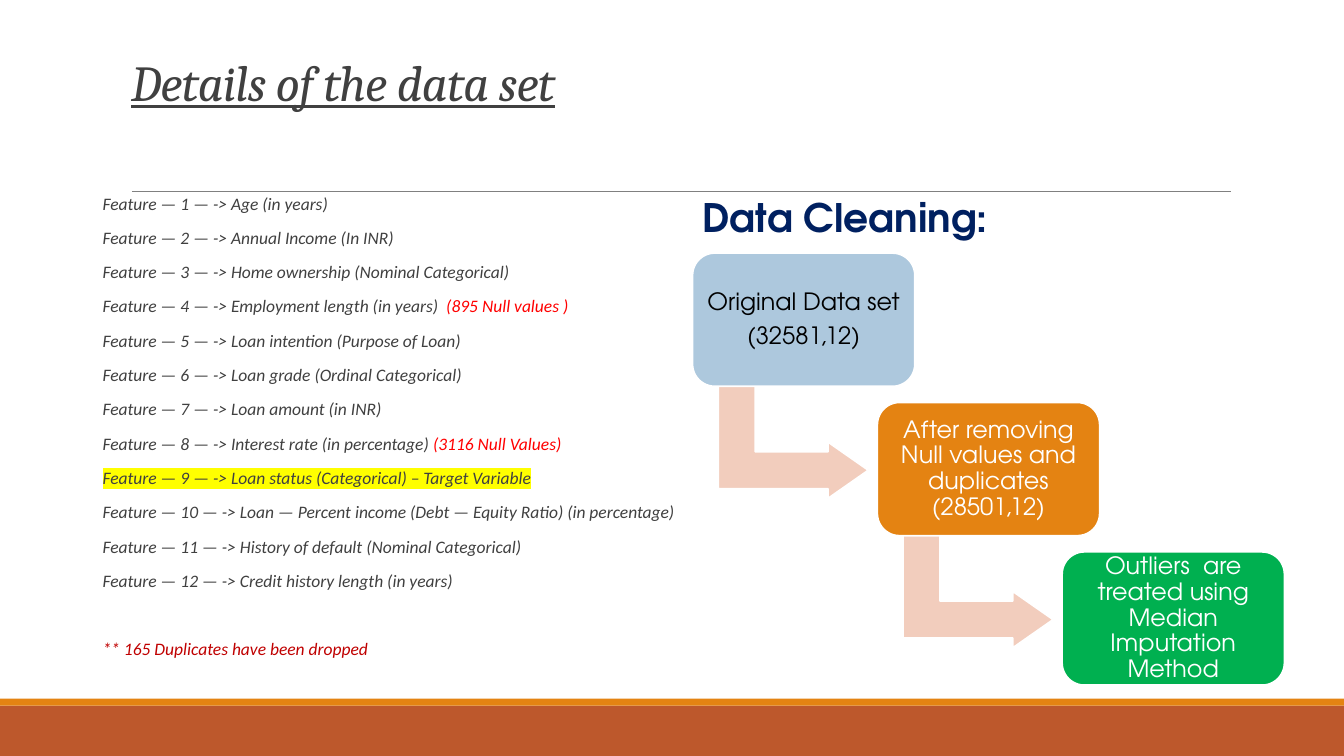
import pptx
import pptx.util
import pptx.dml.color
import pptx.enum.shapes
import pptx.enum.text
import pptx.oxml
import pptx.oxml.ns

Pt = pptx.util.Pt
SHAPE = pptx.enum.shapes.MSO_SHAPE
ALIGN = pptx.enum.text.PP_ALIGN
ANCHOR = pptx.enum.text.MSO_ANCHOR
AUTO = pptx.enum.text.MSO_AUTO_SIZE
DISPLAY_FONT = "TeX Gyre Adventor"
GREY, RED, ORANGE = "404040", "FF0000", "E48312"

TITLE = "Details of the data set"
HEADING = "Data Cleaning:"
# Feature description, red remark
FEATURES = [
    ("Age (in years)", ""),
    ("Annual Income (In INR)", ""),
    ("Home ownership (Nominal Categorical)", ""),
    ("Employment length (in years)  ", "(895 Null values )"),
    ("Loan intention (Purpose of Loan)", ""),
    ("Loan grade (Ordinal Categorical)", ""),
    ("Loan amount (in INR)", ""),
    ("Interest rate (in percentage) ", "(3116 Null Values)"),
    ("Loan status (Categorical) – Target Variable", ""),
    ("Loan — Percent income (Debt — Equity Ratio) (in percentage)", ""),
    ("History of default (Nominal Categorical)", ""),
    ("Credit history length (in years)", ""),
]
TARGET = 9
FOOTNOTE = "** 165 Duplicates have been dropped"
# Paragraphs, fill, text colour
STEPS = [
    (["Original Data set", "(32581,12)"], "ADC8DD", "000000"),
    (["After removing Null values and duplicates (28501,12)"], ORANGE, "FFFFFF"),
    (["Outliers  are treated using Median Imputation Method"], "00B050", "FFFFFF"),
]
# Left, top, width, height of the first box and arrow, and the step to the next
BOX = (494.7, 180.8, 158.8, 95.2)
ARROW = (526.3, 262.1, 80.6, 107.3)
STEP_X, STEP_Y = 132, 106.7


def rgb(value):
    return pptx.dml.color.RGBColor.from_string(value)


def format_run(r, size, font, color, italic=False, bold=False):
    r.font.size = Pt(size)
    r.font.name = font
    r.font.color.rgb = rgb(color)
    r.font.italic = italic
    r.font.bold = bold


def add_shape(kind, box, fill, line=None):
    sp = s.shapes.add_shape(kind, *map(Pt, box))
    sp.shadow.inherit = False
    sp.fill.solid()
    sp.fill.fore_color.rgb = rgb(fill)
    if line:
        sp.line.color.rgb = rgb(line)
        sp.line.width = Pt(1.25)
    else:
        sp.line.fill.background()
    return sp


def set_margins(tf, side, edge):
    tf.margin_left = tf.margin_right = Pt(side)
    tf.margin_top = tf.margin_bottom = Pt(edge)


def highlight(r, color):
    ns = pptx.oxml.ns.nsdecls("a")
    mark = pptx.oxml.parse_xml(f'<a:highlight {ns}><a:srgbClr val="{color}"/></a:highlight>')
    r.font._element.find(pptx.oxml.ns.qn("a:latin")).addprevious(mark)


def add_feature_line(tf, parts, first=False, before=12):
    """Add one paragraph made of (text, colour) parts and return it."""
    p = tf.paragraphs[0] if first else tf.add_paragraph()
    p.line_spacing = 0.7
    p.space_before, p.space_after = Pt(before), Pt(2)
    for text, color in parts:
        r = p.add_run()
        r.text = text
        format_run(r, 12.5, "Calibri", color, italic=True)
    return p


prs = pptx.Presentation()
prs.slide_width, prs.slide_height = Pt(960), Pt(540)
s = prs.slides.add_slide(prs.slide_layouts[5])

# Frame of the slide
add_shape(SHAPE.RECTANGLE, (0, 504, 960, 36), "BD582C")
add_shape(SHAPE.RECTANGLE, (0, 499, 960, 5), ORANGE)
rule = s.shapes.add_connector(
    pptx.enum.shapes.MSO_CONNECTOR.STRAIGHT, Pt(94.3), Pt(136.8), Pt(879), Pt(136.8))
rule.line.color.rgb = rgb("808080")
rule.line.width = Pt(0.5)
rule._element.spPr.append(
    pptx.oxml.parse_xml(f'<a:effectLst {pptx.oxml.ns.nsdecls("a")}/>'))

# Title
title = s.shapes.title
title.left, title.top, title.width, title.height = map(Pt, (86.4, 22.3, 792, 61.2))
tf = title.text_frame
tf.text = TITLE
tf.auto_size = AUTO.NONE
tf.vertical_anchor = ANCHOR.BOTTOM
p = tf.paragraphs[0]
p.alignment = ALIGN.LEFT
p.line_spacing = 0.85
format_run(p.runs[0], 36, "Cambria", GREY, italic=True)
p.runs[0].font.underline = True
p.runs[0].font._element.set("spc", "-50")

# Feature list
tf = s.shapes.add_textbox(*map(Pt, (66.2, 138.2, 812, 350.6))).text_frame
tf.word_wrap = True
set_margins(tf, 7.2, 3.6)
for number, (text, remark) in enumerate(FEATURES, 1):
    parts = [(f"Feature — {number} — -> {text}", GREY)]
    if remark:
        parts.append((remark, RED))
    p = add_feature_line(tf, parts, first=number == 1)
    if number == TARGET:
        highlight(p.runs[0], "FFFF00")
add_feature_line(tf, [(FOOTNOTE, "C00000")], before=36.5)

# Cleaning steps
for i, (lines, fill, color) in enumerate(STEPS):
    dx, dy = i * STEP_X, i * STEP_Y
    if i < len(STEPS) - 1:
        x, y, w, h = ARROW
        arrow = add_shape(SHAPE.BENT_UP_ARROW, (x + dx, y + dy, w, h), "F2CDBD", "FFFFFF")
        arrow.rotation = 90
        for k, value in enumerate((0.328, 0.25, 0.358)):
            arrow.adjustments[k] = value
    x, y, w, h = BOX
    box = add_shape(SHAPE.ROUNDED_RECTANGLE, (x + dx, y + dy, w, h), fill, "FFFFFF")
    tf = box.text_frame
    tf.text = "\n".join(lines)
    tf.word_wrap = True
    tf.vertical_anchor = ANCHOR.MIDDLE
    set_margins(tf, 6, 6)
    for p in tf.paragraphs:
        p.alignment = ALIGN.CENTER
        p.line_spacing = 0.9
        p.space_after = Pt(6)
        format_run(p.runs[0], 17, DISPLAY_FONT, color)

# Heading of the steps
tf = s.shapes.add_textbox(*map(Pt, (494.7, 134.6, 230.4, 41))).text_frame
tf.text = HEADING
tf.word_wrap = False
format_run(tf.paragraphs[0].runs[0], 28, DISPLAY_FONT, "002060", bold=True)

prs.save("out.pptx")
